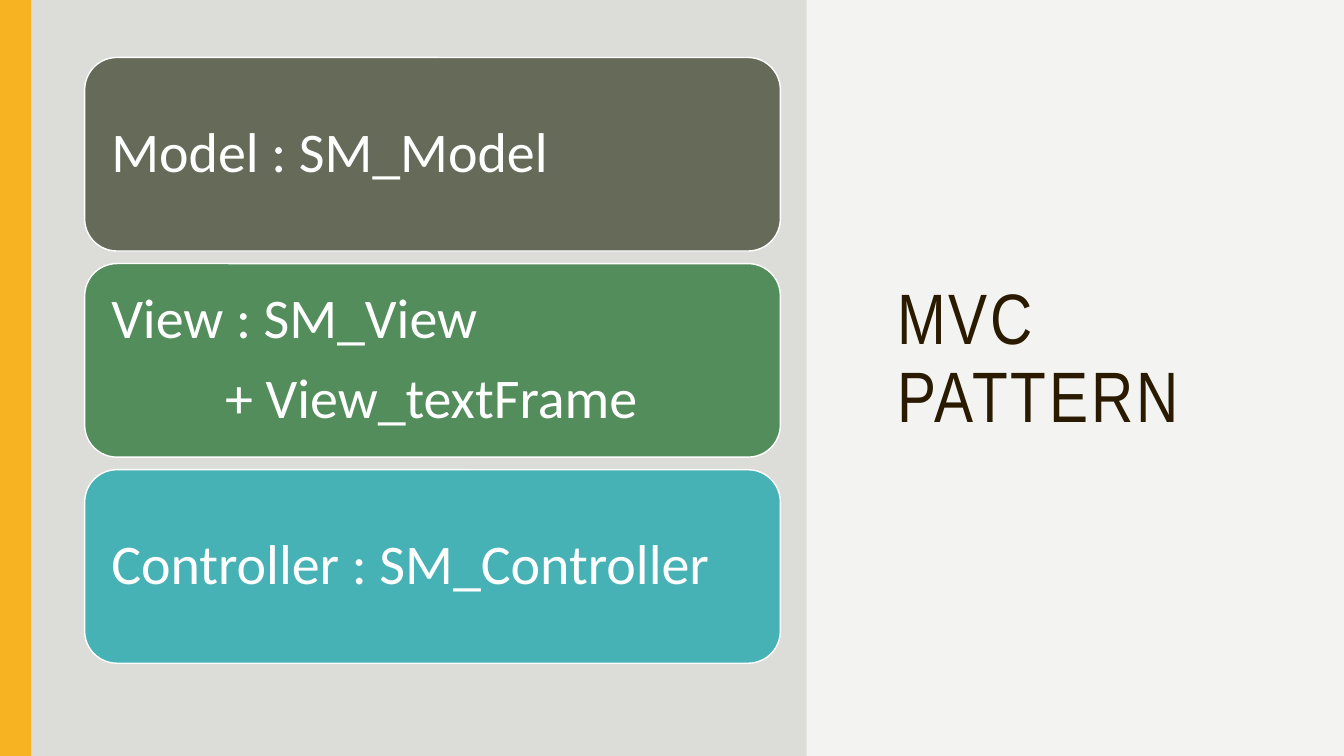
"""Build the MVC pattern slide with three stacked layer cards."""
from math import cos, pi

from pptx import Presentation
from pptx.dml.color import RGBColor
from pptx.enum.shapes import MSO_SHAPE as Shape
from pptx.enum.text import MSO_ANCHOR as Anchor, PP_ALIGN as Align
from pptx.util import Inches, Pt

TITLE = "MVC PATTERN"
LAYERS = [
    ("656A59", [("Model : SM_Model", 0)]),
    ("528D5B", [("View : SM_View", 0), ("+ View_textFrame", 1.13)]),
    ("46B2B5", [("Controller : SM_Controller", 0)]),
]
BACKGROUND, PANEL, ACCENT, INK, WHITE = "F3F3F2", "DCDCD9", "F8B323", "2A1A00", "FFFFFF"

WIDTH, HEIGHT = 13.33, 7.5
WAVE_CENTER, WAVE_DEPTH, WAVE_PERIOD, WAVE_STEPS = 8.18, 0.1, 1.5, 120
CARD_LEFT, CARD_TOP, CARD_WIDTH, CARD_HEIGHT, CARD_PITCH = 0.84, 0.57, 6.9, 1.92, 2.045


def color(value):
    return RGBColor.from_string(value)


def paint(shape, fill, line=None):
    shape.shadow.inherit = False
    shape.fill.solid()
    shape.fill.fore_color.rgb = color(fill)
    if line:
        shape.line.color.rgb = color(line)
        shape.line.width = Pt(1)
    else:
        shape.line.fill.background()
    return shape


def add_box(kind, left, top, width, height, fill, line=None):
    box = slide.shapes.add_shape(kind, *map(Inches, (left, top, width, height)))
    return paint(box, fill, line)


def write(shape, lines, font, size, ink, inset=(0.1, 0.05), after=0, tracking=0):
    frame = shape.text_frame
    frame.word_wrap = True
    frame.vertical_anchor = Anchor.MIDDLE
    frame.margin_left = frame.margin_right = Inches(inset[0])
    frame.margin_top = frame.margin_bottom = Inches(inset[1])
    for number, (text, indent) in enumerate(lines):
        paragraph = frame.add_paragraph() if number else frame.paragraphs[0]
        paragraph.alignment = Align.LEFT
        paragraph.line_spacing = 0.9
        paragraph.space_after = Pt(after)
        if indent:
            properties = paragraph._p.get_or_add_pPr()
            properties.set("marL", str(Inches(indent)))
            properties.set("indent", "0")
        run = paragraph.add_run()
        run.text = text
        run.font.name = font
        run.font.size = Pt(size)
        run.font.color.rgb = color(ink)
        if tracking:
            run.font._element.set("spc", str(tracking * 100))


deck = Presentation()
deck.slide_width, deck.slide_height = Inches(WIDTH), Inches(HEIGHT)
slide = deck.slides.add_slide(deck.slide_layouts[6])
slide.background.fill.solid()
slide.background.fill.fore_color.rgb = color(BACKGROUND)

depths = [HEIGHT * step / WAVE_STEPS for step in range(WAVE_STEPS + 1)]
wave = [(WAVE_CENTER - WAVE_DEPTH * cos(2 * pi * y / WAVE_PERIOD), y) for y in depths]
outline = slide.shapes.build_freeform(0, 0, scale=Inches(1))
outline.add_line_segments(wave + [(0, HEIGHT)], close=True)
paint(outline.convert_to_shape(), PANEL)

add_box(Shape.RECTANGLE, 0, 0, 0.31, HEIGHT, ACCENT)

title = slide.shapes.add_textbox(*map(Inches, (8.8, 0.53, 4, 6.09)))
write(title, [(TITLE, 0)], "Arial Narrow", 51, INK, tracking=2)

for row, (fill, lines) in enumerate(LAYERS):
    card = add_box(Shape.ROUNDED_RECTANGLE, CARD_LEFT, CARD_TOP + row * CARD_PITCH,
                   CARD_WIDTH, CARD_HEIGHT, fill, WHITE)
    write(card, lines, "Calibri", 40, WHITE, inset=(0.17, 0.17), after=14)

deck.save("out.pptx")
